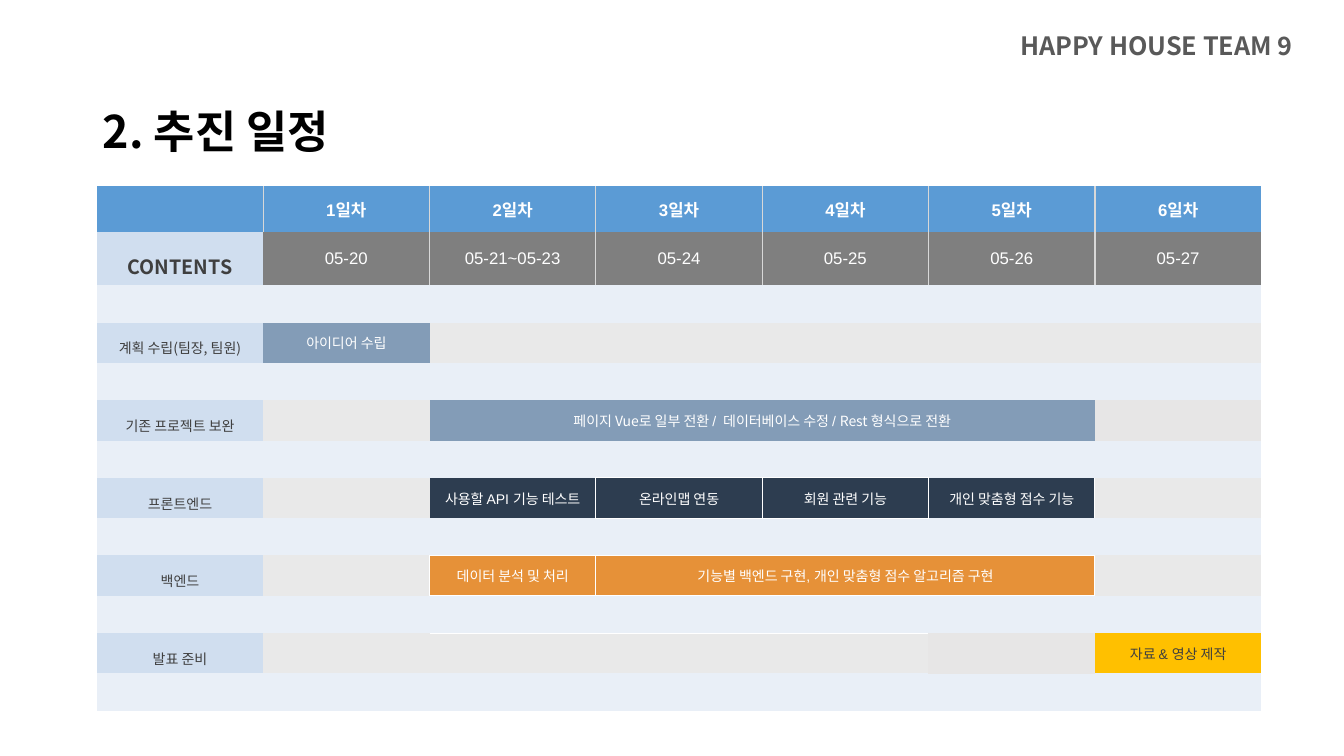
from dataclasses import dataclass

from lxml.etree import SubElement
from pptx import Presentation
from pptx.dml.color import RGBColor
from pptx.enum.text import MSO_ANCHOR, PP_ALIGN
from pptx.oxml import parse_xml
from pptx.oxml.ns import nsdecls, qn
from pptx.util import Inches, Pt


@dataclass(frozen=True)
class Theme:
    sans: str = "Noto Sans CJK KR"
    arial: str = "Arial"
    white: str = "FFFFFF"
    black: str = "000000"
    ink: str = "3F3F3F"
    team: str = "595959"
    day: str = "5B9BD5"
    date: str = "7F7F7F"
    rule: str = "D8D8D8"
    label: str = "D0DEEF"
    gap: str = "E9EFF7"
    idle: str = "E9E9E9"
    idle_dark: str = "E7E6E6"
    plan: str = "839CB7"
    front: str = "2D3D50"
    back: str = "E69138"
    talk: str = "FFC000"
    title_size: int = 32
    team_size: int = 18
    contents_size: int = 14
    head_size: int = 12
    body_size: int = 10


THEME = Theme()
NO_STYLE = "{2D5ABB26-0587-4C30-8999-92F81FD0307C}"
SIDES = "LRTB"
DATES = ["05-20", "05-21~05-23", "05-24", "05-25", "05-26", "05-27"]
COLUMNS = len(DATES) + 1
COLUMN_WIDTH = 1.65
DAY_HEIGHT, DATE_HEIGHT, GAP_HEIGHT, TASK_HEIGHT = 0.45, 0.53, 0.37, 0.4


@dataclass(frozen=True)
class Bar:
    start: int
    span: int
    fill: str
    pieces: tuple = ()  # (text, font) pairs
    sides: str = ""
    edge: str = THEME.white
    ink: str = THEME.white


TASKS = [
    ("계획 수립(팀장, 팀원)", [
        Bar(1, 1, THEME.plan, (("아이디어 수립", THEME.sans),)),
        Bar(3, 4, THEME.idle),
    ]),
    ("기존 프로젝트 보완", [
        Bar(2, 4, THEME.plan, (
            ("페이지 Vue로 일부 전환 ", THEME.sans), ("/ ", THEME.arial),
            (" 데이터베이스 수정 ", THEME.sans), ("/ ", THEME.arial),
            ("Rest 형식으로 전환", THEME.sans))),
        Bar(6, 1, THEME.idle_dark),
    ]),
    ("프론트엔드", [
        Bar(2, 1, THEME.front, (("사용할 API 기능 테스트", THEME.arial),), "R"),
        Bar(3, 1, THEME.front, (("온라인맵 연동", THEME.arial),), SIDES),
        Bar(4, 1, THEME.front, (("회원 관련 기능", THEME.arial),), SIDES),
        Bar(5, 1, THEME.front, (("개인 맞춤형 점수 기능", THEME.arial),), "L"),
    ]),
    ("백엔드", [
        Bar(2, 1, THEME.back, (("데이터 분석 및 처리", THEME.arial),), SIDES),
        Bar(3, 3, THEME.back, (
            ("기능별 백엔드 구현, ", THEME.arial),
            ("개인 맞춤형 점수 알고리즘 구현", THEME.sans)), SIDES),
    ]),
    ("발표 준비", [
        Bar(5, 1, THEME.idle_dark, (), SIDES, THEME.idle_dark),
        Bar(6, 1, THEME.talk, (("자료 & 영상 제작", THEME.arial),), ink=THEME.ink),
    ]),
]


def format_run(run, font, size, color, bold=False):
    run.font.name = font
    run.font.size = Pt(size)
    run.font.bold = bold
    run.font.color.rgb = RGBColor.from_string(color)
    # Hangul takes the East Asian face
    SubElement(run.font._element, qn("a:ea")).set("typeface", THEME.sans)


def add_heading(slide, text, left, top, width, height, size, color):
    frame = slide.shapes.add_textbox(
        Inches(left), Inches(top), Inches(width), Inches(height)).text_frame
    frame.word_wrap = True
    frame.vertical_anchor = MSO_ANCHOR.MIDDLE
    frame.text = text
    format_run(frame.paragraphs[0].runs[0], THEME.sans, size, color, True)


def fill_cell(cell, color):
    cell.fill.solid()
    cell.fill.fore_color.rgb = RGBColor.from_string(color)


def set_margins(cell, horizontal, vertical):
    cell.margin_left = cell.margin_right = Inches(horizontal)
    cell.margin_top = cell.margin_bottom = Inches(vertical)


def write_cell(cell, pieces, size, color, bold=False, spacing=1.0, padded=True):
    cell.vertical_anchor = MSO_ANCHOR.MIDDLE
    if padded:
        set_margins(cell, 0.1, 0.05)
    paragraph = cell.text_frame.paragraphs[0]
    paragraph.alignment = PP_ALIGN.CENTER
    paragraph.line_spacing = spacing
    for text, font in pieces:
        run = paragraph.add_run()
        run.text = text
        format_run(run, font, size, color, bold)


def add_edge(cell, side, color, points):
    properties = cell._tc.get_or_add_tcPr()
    if properties.find(qn(f"a:ln{side}")) is not None:
        return
    earlier = SIDES[:SIDES.index(side)]
    place = sum(properties.find(qn(f"a:ln{s}")) is not None for s in earlier)
    properties.insert(place, parse_xml(
        f'<a:ln{side} {nsdecls("a")} w="{Pt(points)}"><a:solidFill>'
        f'<a:srgbClr val="{color}"/></a:solidFill></a:ln{side}>'))


def add_bar(table, row, bar):
    last = bar.start + bar.span - 1
    cell = table.cell(row, bar.start)
    if bar.span > 1:
        cell.merge(table.cell(row, last))
    fill_cell(cell, bar.fill)
    if bar.pieces:
        write_cell(cell, bar.pieces, THEME.body_size, bar.ink)
    # Each edge belongs to the bar and to the cell beyond it
    columns = range(bar.start, last + 1)
    edges = {
        "L": [(row, bar.start, "L"), (row, bar.start - 1, "R")],
        "R": [(row, last, "R"), (row, last + 1, "L")],
        "T": [e for c in columns for e in ((row, c, "T"), (row - 1, c, "B"))],
        "B": [e for c in columns for e in ((row, c, "B"), (row + 1, c, "T"))],
    }
    for side in bar.sides:
        for edge_row, column, edge_side in edges[side]:
            add_edge(table.cell(edge_row, column), edge_side, bar.edge, 0.75)


def add_header(table):
    for column, date in enumerate(DATES, 1):
        for row, text, bold in ((0, f"{column}일차", True), (1, date, False)):
            cell = table.cell(row, column)
            write_cell(cell, [(text, THEME.arial)], THEME.head_size,
                       THEME.white, bold, padded=False)
            if row == 0 or column > 1:
                add_edge(cell, "L", THEME.rule, 1)
                add_edge(table.cell(row, column - 1), "R", THEME.rule, 1)
    write_cell(table.cell(1, 0), [("CONTENTS", THEME.sans)],
               THEME.contents_size, THEME.ink, True, 1.5)


def add_schedule(slide):
    heights = [DAY_HEIGHT, DATE_HEIGHT, GAP_HEIGHT]
    heights += [TASK_HEIGHT, GAP_HEIGHT] * len(TASKS)
    table = slide.shapes.add_table(
        len(heights), COLUMNS, Inches(0.96), Inches(1.85),
        Inches(COLUMN_WIDTH * COLUMNS), Inches(sum(heights))).table
    table.first_row = table.horz_banding = False
    table._tbl.tblPr.find(qn("a:tableStyleId")).text = NO_STYLE
    for column in table.columns:
        column.width = Inches(COLUMN_WIDTH)

    # Row backgrounds
    row_fills = [THEME.day, THEME.date, THEME.gap]
    row_fills += [THEME.idle, THEME.gap] * len(TASKS)
    for row, height, color in zip(table.rows, heights, row_fills):
        row.height = Inches(height)
        for column, cell in enumerate(row.cells):
            labelled = column == 0 and color in (THEME.date, THEME.idle)
            fill_cell(cell, THEME.label if labelled else color)
            set_margins(cell, 0, 0)

    # Header and task rows
    add_header(table)
    for index, (label, bars) in enumerate(TASKS):
        row = 3 + 2 * index
        write_cell(table.cell(row, 0), [(label, THEME.sans)],
                   THEME.body_size, THEME.ink, spacing=1.5)
        for bar in bars:
            add_bar(table, row, bar)


def main():
    deck = Presentation()
    deck.slide_width, deck.slide_height = Inches(13.33), Inches(7.5)
    slide = deck.slides.add_slide(deck.slide_layouts[6])
    add_schedule(slide)
    add_heading(slide, "HAPPY HOUSE TEAM 9", 10.02, 0.21, 3.2, 0.48,
                THEME.team_size, THEME.team)
    add_heading(slide, "2. 추진 일정", 0.92, 0.85, 8.53, 0.9,
                THEME.title_size, THEME.black)
    deck.save("out.pptx")


if __name__ == "__main__":
    main()
